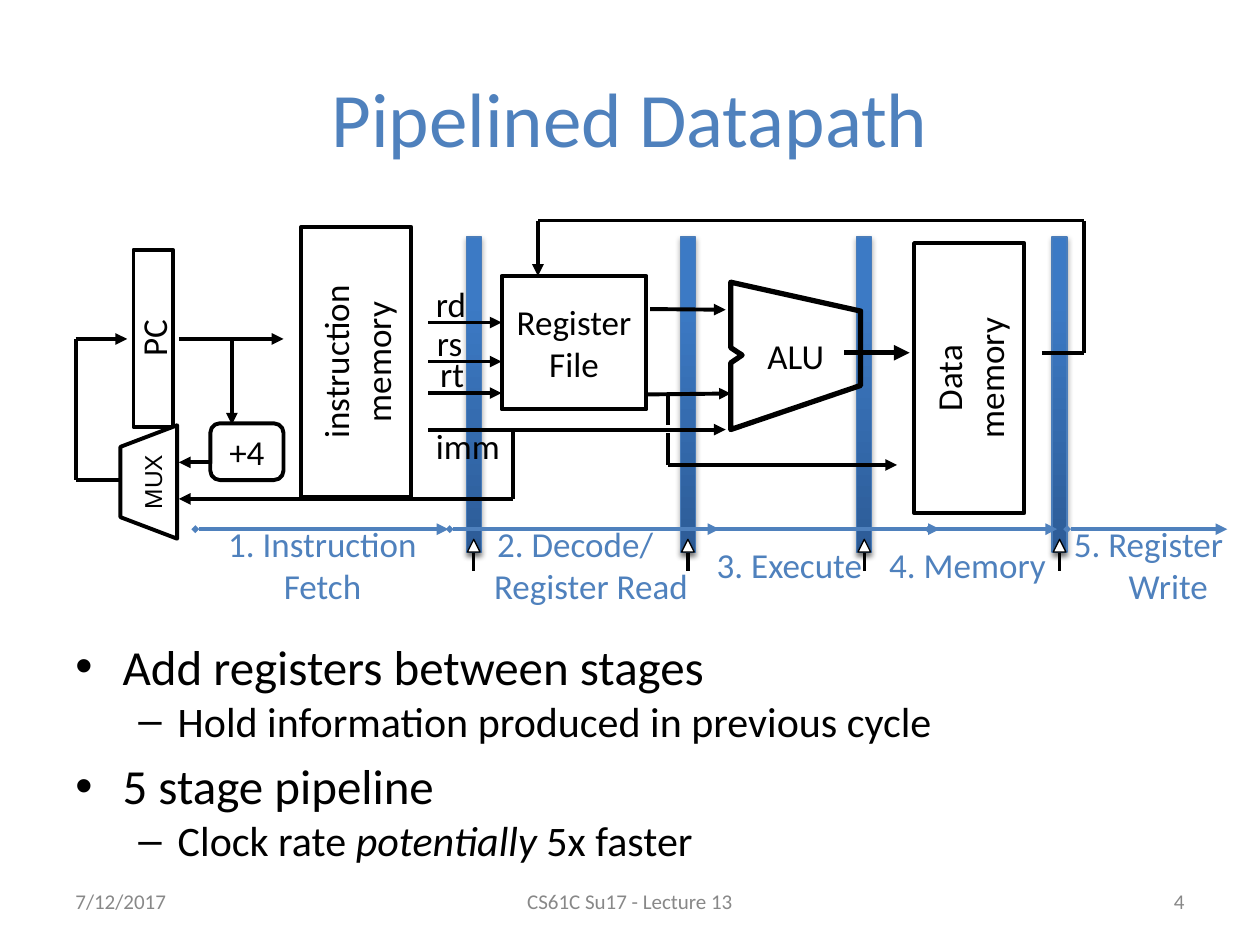
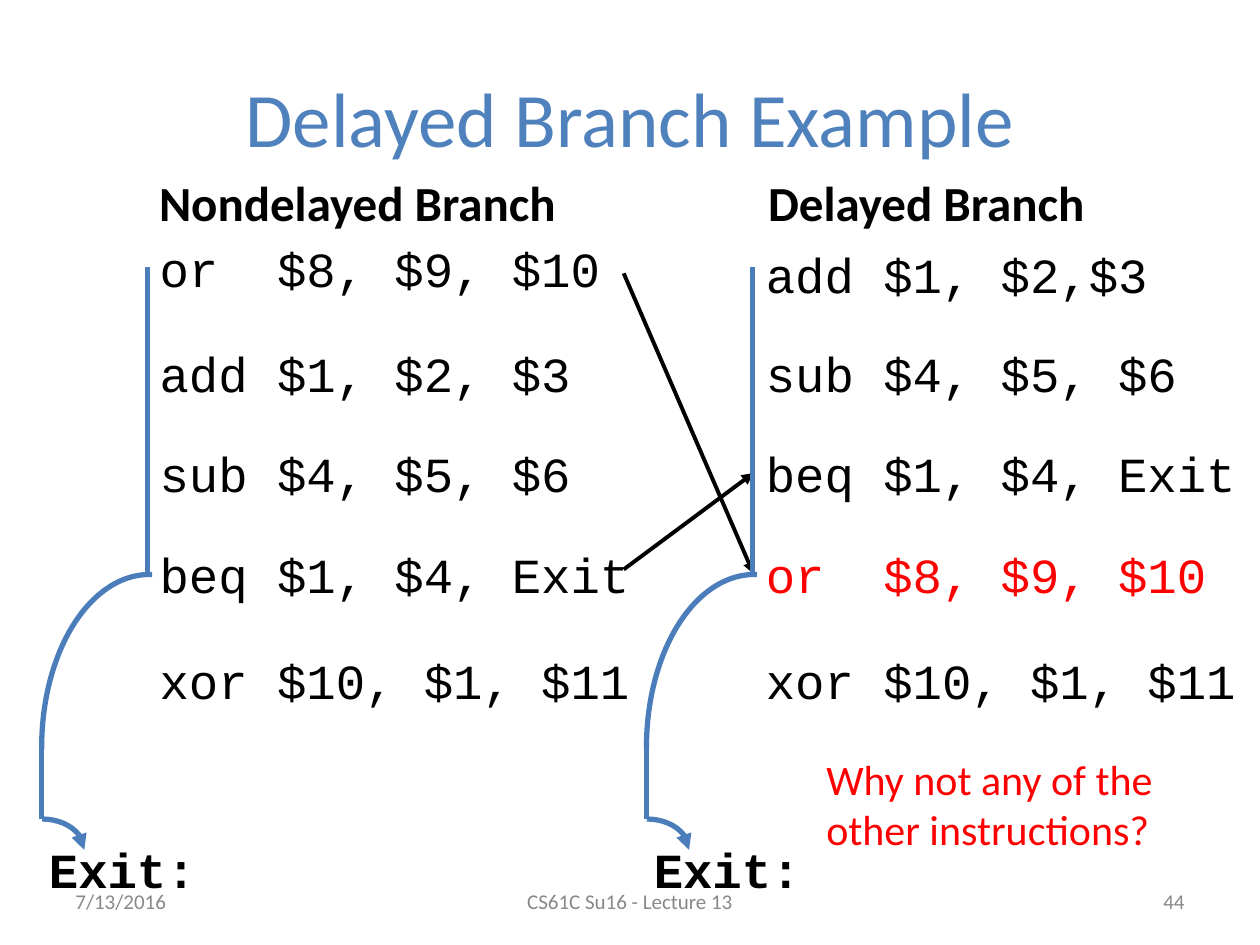
from itertools import pairwise
from lxml.etree import SubElement as Sub
from pptx import Presentation
from pptx.dml.color import RGBColor
from pptx.enum.shapes import MSO_CONNECTOR as Link, MSO_SHAPE as Kind
from pptx.enum.text import MSO_ANCHOR as Anchor, PP_ALIGN as Align
from pptx.oxml.ns import qn
from pptx.util import Pt

BLACK = RGBColor(0x00, 0x00, 0x00)
WHITE = RGBColor(0xFF, 0xFF, 0xFF)
RED = RGBColor(0xFF, 0x00, 0x00)
GREY = RGBColor(0x88, 0x88, 0x88)
BLUE = RGBColor(0x4F, 0x81, 0xBD)
EDGE = RGBColor(0x4A, 0x7D, 0xBA)
DEEP = RGBColor(0x2D, 0x5C, 0x97)
BRIGHT = RGBColor(0x3C, 0x7A, 0xC5)
SANS, MONO = "Calibri", "Courier New"


def style(para, size, color=BLACK, font=SANS, bold=False):
    """Set the font of a whole paragraph."""
    face = para.font
    face.size, face.name, face.bold = Pt(size), font, bold
    face.color.rgb = color


def write(shape, text, size, color=BLACK, font=SANS, bold=False,
          align=Align.CENTER, anchor=Anchor.MIDDLE, wrap=False):
    """Fill a shape with one paragraph for each line of text."""
    frame = shape.text_frame
    frame.word_wrap, frame.vertical_anchor = wrap, anchor
    for i, line in enumerate(text.split("\n")):
        para = frame.add_paragraph() if i else frame.paragraphs[0]
        para.text, para.alignment = line, align
        style(para, size, color, font, bold)
    return shape


def label(slide, box, text, size, color=BLACK, **look):
    """Add a text box at the given left, top, width and height."""
    area = slide.shapes.add_textbox(*map(Pt, box))
    return write(area, text, size, color, **look)


def tip(shape, head=None, tail=None):
    """Put ends on an outline, with a small one at its start."""
    ln = shape.element.spPr.find(qn("a:ln"))
    if head:
        Sub(ln, qn("a:headEnd"), type=head, w="sm", len="sm")
    if tail:
        Sub(ln, qn("a:tailEnd"), type=tail)


def line(slide, start, end, color=BLACK, width=2.25, head=None, tail=None):
    """Draw a straight connector between two points."""
    wire = slide.shapes.add_connector(Link.STRAIGHT, *map(Pt, start + end))
    wire.line.color.rgb, wire.line.width = color, Pt(width)
    Sub(wire.element.spPr, qn("a:effectLst"))
    tip(wire, head, tail)
    return wire


def plain(shape, fill=None, color=BLACK, width=2.25):
    """Give a shape a flat fill and outline without shadow."""
    shape.shadow.inherit = False
    if fill is None:
        shape.fill.background()
    else:
        shape.fill.solid()
        shape.fill.fore_color.rgb = fill
    shape.line.color.rgb, shape.line.width = color, Pt(width)
    return shape


def form(slide, kind, box, **look):
    """Add a preset shape."""
    return plain(slide.shapes.add_shape(kind, *map(Pt, box)), **look)


def shade(shape):
    """Drop a soft shadow below a shape."""
    effects = shape.element.spPr.find(qn("a:effectLst"))
    cast = Sub(effects, qn("a:outerShdw"), blurRad=str(Pt(3.1)),
               dist=str(Pt(1.8)), dir="5400000", rotWithShape="0")
    tone = Sub(cast, qn("a:srgbClr"), val="000000")
    Sub(tone, qn("a:alpha"), val="35000")


def base(deck, title, date, foot, page):
    """Start a slide with its title and footer."""
    slide = deck.slides.add_slide(deck.slide_layouts[6])
    label(slide, (36, 21.6, 648, 90), title, 44, BLUE, wrap=True)
    for x, w, text, align in ((36, 168, date, Align.LEFT),
                              (246, 228, foot, Align.CENTER),
                              (516, 168, page, Align.RIGHT)):
        label(slide, (x, 500.5, w, 28.8), text, 12, GREY, align=align, wrap=True)
    return slide


def bar(slide, x, y):
    """Draw a pipeline register with its clock input."""
    body = form(slide, Kind.RECTANGLE, (x, y, 8.6, 180), color=EDGE, width=0.75)
    body.fill.gradient()
    body.fill.gradient_angle = 90
    for stop, color, place in zip(body.fill.gradient_stops, (DEEP, BRIGHT), (0, 0.8)):
        stop.color.rgb, stop.position = color, place
    clock = form(slide, Kind.ISOSCELES_TRIANGLE, (x + 0.7, y + 172.8, 7.2, 7.2),
                 fill=WHITE, width=0.75)
    shade(body)
    shade(clock)
    line(slide, (x + 4.3, y + 180.7), (x + 4.3, y + 190.8), width=2)


def stages(slide, y):
    """Name the five stages under their spans."""
    rows = (("1. Instruction\nFetch", 111.6, 145.4, 111.6, 256.3, 0),
            ("2. Decode/\nRegister Read", 252, 153.4, 257, 411.1, 18),
            ("3. Execute", 398.9, 104.4, 406.1, 537.1, 0),
            ("4. Memory", 494.6, 116.6, 530.6, 604.1, 0),
            ("5. Register\nWrite", 601.2, 110.2, 609.8, 701.3, 22.6))
    for text, x, w, start, end, shift in rows:
        name = label(slide, (x, y + 1.4, w, 37.4), text, 20, BLUE, wrap=True)
        last = name.text_frame.paragraphs[-1]
        last._p.get_or_add_pPr().set("marL", str(Pt(shift)))
        line(slide, (start, y), (end, y), BLUE, head="diamond", tail="triangle")


def units(slide, x, y):
    """Draw the blocks of the datapath."""
    rows = (("PC", Kind.RECTANGLE, 33.1, 16.6, 22.4, 101.4, None, True),
            ("instruction\nmemory", Kind.RECTANGLE, 128.8, 3.7, 63, 154.3, WHITE, True),
            ("+4", Kind.ROUNDED_RECTANGLE, 77, 115.9, 41.8, 32.4, WHITE, False),
            ("Register\nFile", Kind.RECTANGLE, 243.4, 31.7, 82.8, 76.3, WHITE, False),
            ("Data\nmemory", Kind.RECTANGLE, 479.1, 12.9, 63, 154.3, WHITE, True))
    for text, kind, dx, dy, w, h, fill, turn in rows:
        unit = form(slide, kind, (x + dx, y + dy, w, h), fill=fill)
        write(unit, text, 20)
        if turn:
            unit.element.txBody.find(qn("a:bodyPr")).set("vert", "vert270")
    mux = form(slide, Kind.TRAPEZOID, (x + 9.4, y + 133.2, 64.8, 32.4), fill=WHITE)
    mux.adjustments[0] = 0.38
    mux.rotation = 270
    write(mux, "MUX", 14, font="Arial")
    spots = [(Pt(x + dx), Pt(y + dy)) for dx, dy in (
        (374.4, 35.3), (448.6, 51.8), (448.6, 94.3), (374.4, 119.5),
        (374.4, 81.4), (380.9, 77), (374.4, 72.7))]
    pen = slide.shapes.build_freeform(*spots[0], scale=1.0)
    pen.add_line_segments(spots[1:], close=True)
    write(plain(pen.convert_to_shape(), width=3), "ALU", 20)


def wires(slide, x, y):
    """Route the signals between the blocks and name the fields."""
    arrow = "triangle"
    routes = (
        (arrow, (59, 67.7), (118.8, 67.7)),
        (arrow, (89.3, 67.7), (89.3, 116.6)),
        (arrow, (77, 138.2), (59, 138.2)),
        (arrow, (201.6, 58.3), (243.4, 58.3)),
        (arrow, (201.6, 80.6), (243.4, 80.6)),
        (arrow, (201.6, 98.6), (243.4, 98.6)),
        (arrow, (201.6, 119.5), (371.5, 119.5)),
        (arrow, (326.9, 99.4), (374.4, 98.9)),
        (arrow, (328.3, 50.6), (371.5, 51)),
        (None, (338.4, 98.6), (338.4, 116.6)),
        (arrow, (338.4, 121.7), (338.4, 139.7), (469.4, 139.7)),
        (arrow, (552.2, 75.6), (576, 75.6), (576, 0), (264.2, 0), (264.2, 31.7)),
        (arrow, (249.8, 119.5), (249.8, 159.1), (59, 159.1)),
        (arrow, (25.6, 148.3), (0, 148.3), (0, 67.7), (29.5, 67.7)))
    for end, *spots in routes:
        spots = [(x + dx, y + dy) for dx, dy in spots]
        for a, b in pairwise(spots):
            line(slide, a, b, tail=end if b == spots[-1] else None)
    line(slide, (x + 439.2, y + 75.6), (x + 476.6, y + 75.6), width=3, tail=arrow)
    for text, dy, w in (("rd", 35.3, 31.7), ("rs", 57.6, 30),
                        ("rt", 75.6, 33), ("imm", 116.6, 51)):
        label(slide, (x + 198.7, y + dy, w, 23.8), text, 20)


def points(slide, box, items):
    """Write a two-level bullet list whose items are lists of runs."""
    frame = slide.shapes.add_textbox(*map(Pt, box)).text_frame
    frame.word_wrap = True
    for i, (level, runs) in enumerate(items):
        para = frame.add_paragraph() if i else frame.paragraphs[0]
        para.space_before = Pt(6 if i and not level else 0)
        left, hang, mark, size = ((27, 27, "•", 28), (58.5, 22.5, "–", 24))[level]
        props = para._p.get_or_add_pPr()
        props.set("marL", str(Pt(left)))
        props.set("indent", str(-Pt(hang)))
        Sub(props, qn("a:buFont"), typeface="Arial")
        Sub(props, qn("a:buChar"), char=mark)
        style(para, size)
        for text, slant in runs:
            run = para.add_run()
            run.text = text
            if slant:
                run.font.italic = True


def code(slide, x, tops, rows, hot=None):
    """List instructions, with one row in red, and return their boxes."""
    return [label(slide, (x, top, 285.8, 41), row, 28, RED if i == hot else BLACK,
                  font=MONO, align=Align.LEFT, anchor=Anchor.TOP)
            for i, (top, row) in enumerate(zip(tops, rows))]


def jump(slide, x, y):
    """Trace the path of a branch down to its exit."""
    line(slide, (x + 23.8, y + 274.3), (x + 23.8, y + 315.4), EDGE, 3)
    label(slide, (x + 20.9, y + 323.3, 110, 40.3), "Exit:", 28, font=MONO,
          bold=True, align=Align.LEFT, anchor=Anchor.TOP)
    line(slide, (x + 84.2, y), (x + 84.2, y + 175), EDGE, 3)
    for box, start, end in (((23.8, 175.7, 123.1, 197.3), 107.35, 162.56),
                            ((0, 315.4, 48.2, 35.3), 162, 0)):
        dx, dy, w, h = box
        arc = form(slide, Kind.ARC, (x + dx, y + dy, w, h), color=EDGE, width=3)
        arc.adjustments[0], arc.adjustments[1] = start, end
    tip(arc, tail="triangle")


def datapath(deck):
    """Build the slide on the pipelined datapath."""
    slide = base(deck, "Pipelined Datapath", "7/12/2017", "CS61C Su17 - Lecture 13", "4")
    points(slide, (36, 360, 648, 151.2), (
        (0, [("Add registers between stages", False)]),
        (1, [("Hold information produced in previous cycle", False)]),
        (0, [("5 stage pipeline", False)]),
        (1, [("Clock rate ", False), ("potentially", True), (" 5x faster", False)])))
    for x in (266.4, 388.8, 489.6, 601.2):
        bar(slide, x, 135.4)
    stages(slide, 302.4)
    units(slide, 43.2, 126)
    wires(slide, 43.2, 126)


def branch(deck):
    """Build the slide on the delayed branch."""
    slide = base(deck, "Delayed Branch Example", "7/13/2016",
                 "CS61C Su16 - Lecture 13", "44")
    tops = (193, 249.8, 307.4, 367.9)
    code(slide, 84.2, (132.5, *tops), (
        "or  $8, $9, $10", "add $1, $2, $3", "sub $4, $5, $6",
        "beq $1, $4, Exit", "xor $10, $1, $11"))
    rows = code(slide, 430.6, (136.1, *tops), (
        "add $1, $2,$3", "sub $4, $5, $6", "beq $1, $4, Exit",
        "or  $8, $9, $10", "xor $10, $1, $11"), hot=3)
    for text, x, w in (("Nondelayed Branch", 82.1, 244.1), ("Delayed Branch", 430.6, 197.3)):
        label(slide, (x, 95, w, 41), text, 28, bold=True)
    for y, row in ((156.2, rows[3]), (325.4, rows[2])):
        move = line(slide, (356.4, y), (430.6, y), tail="triangle")
        move.end_connect(row, 1)
    for x in (0, 345.6):
        jump(slide, x, 152.6)
    label(slide, (465.1, 427, 218.2, 65.5), "Why not any of the other instructions?",
          24, RED, align=Align.LEFT, anchor=Anchor.TOP, wrap=True)


def main():
    """Make the deck and save it."""
    deck = Presentation()
    deck.slide_width, deck.slide_height = Pt(720), Pt(540)
    datapath(deck)
    branch(deck)
    deck.save("out.pptx")


if __name__ == "__main__":
    main()
